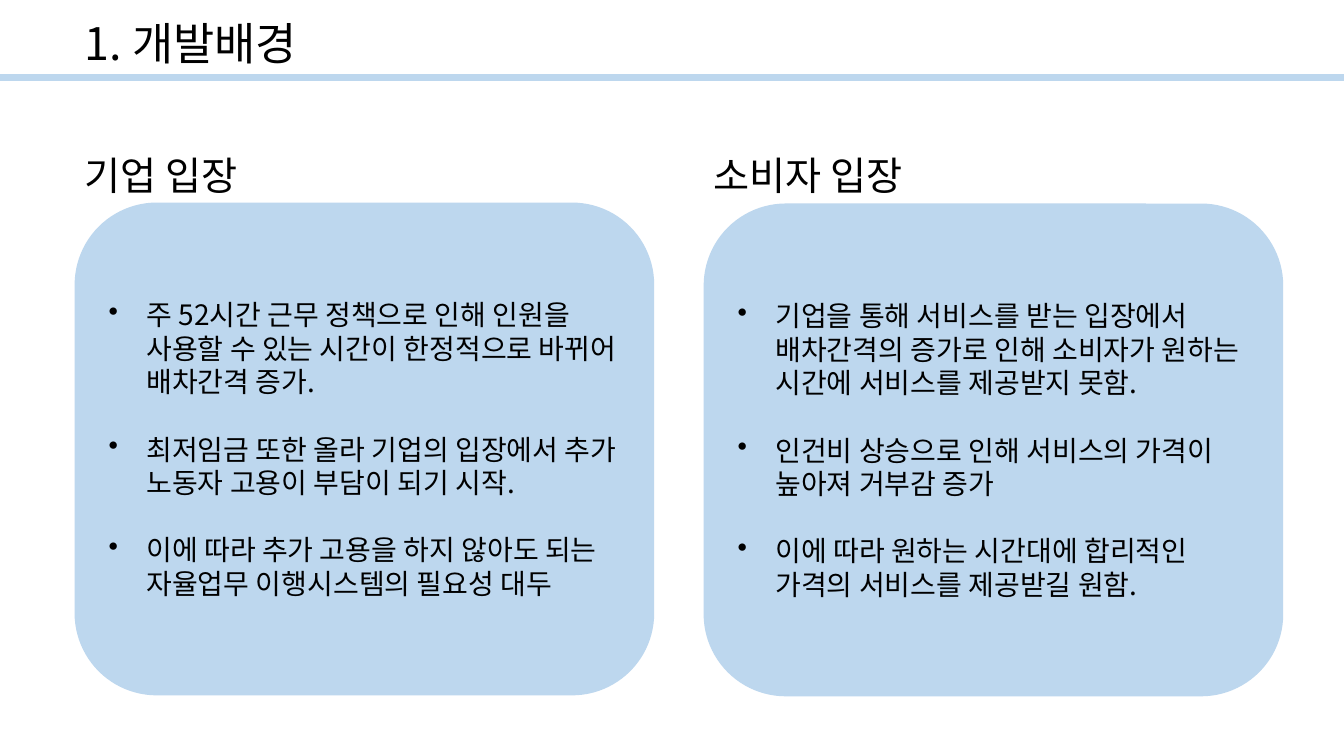
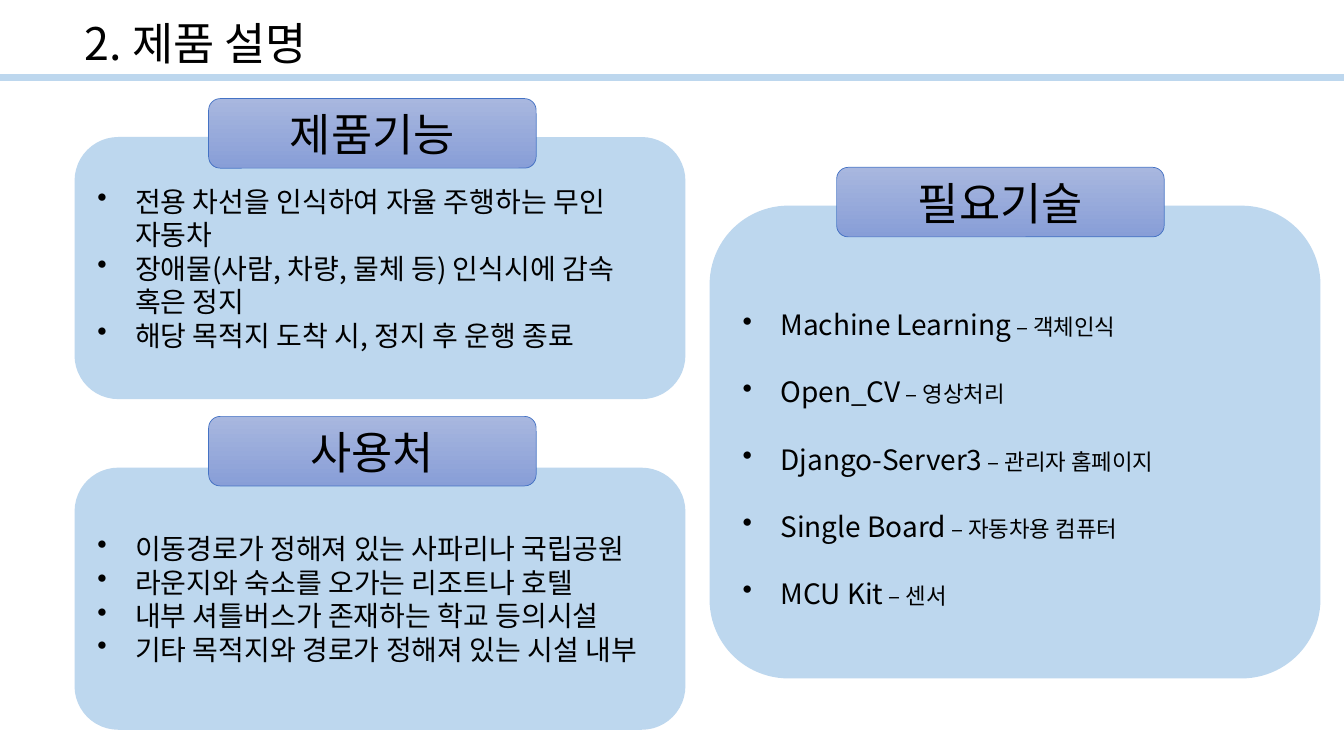
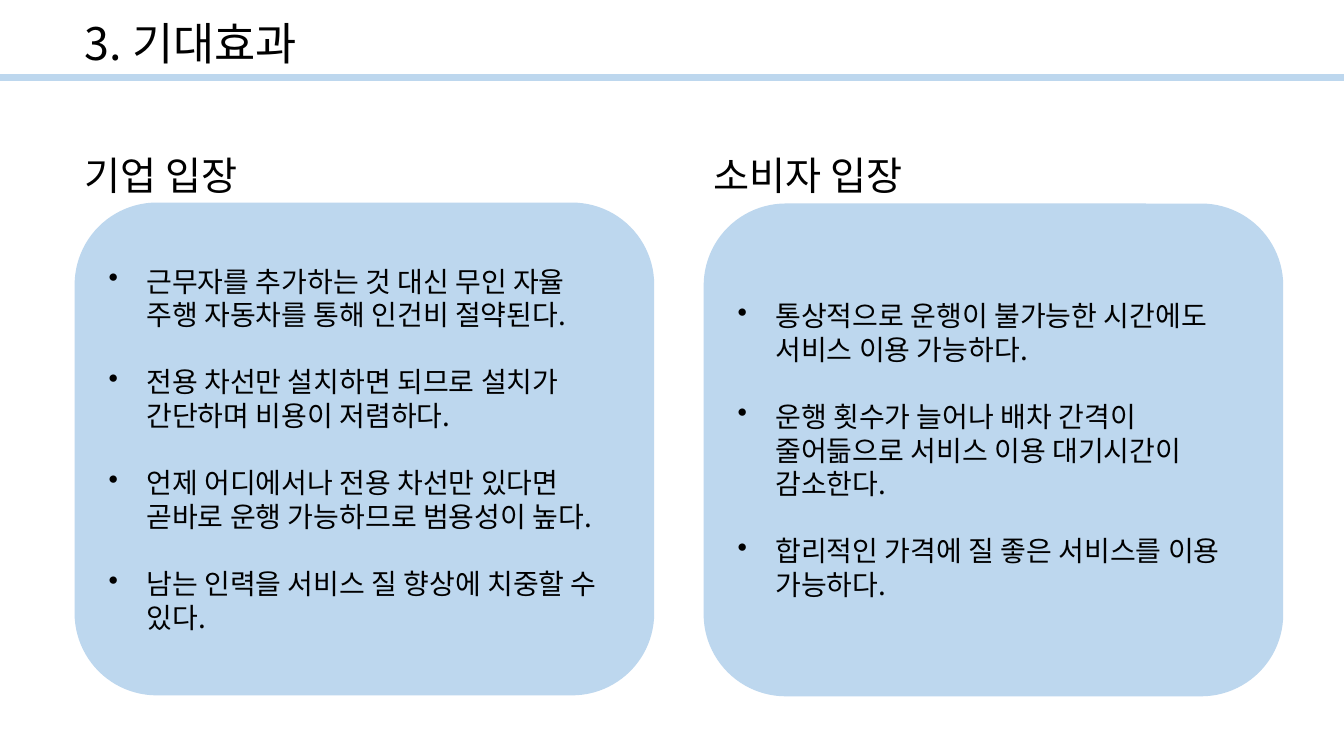
"""Build three slides on the background, features and benefits of a driverless car."""
from dataclasses import dataclass

from lxml.etree import SubElement
from pptx import Presentation
from pptx.dml.color import RGBColor
from pptx.enum.shapes import MSO_CONNECTOR, MSO_SHAPE
from pptx.enum.text import MSO_ANCHOR as Anchor, MSO_AUTO_SIZE as AutoSize, PP_ALIGN as Align
from pptx.oxml.ns import qn
from pptx.util import Pt


@dataclass(frozen=True)
class Theme:
    """Colours, type sizes and shared measures, in points."""
    font: str = "Noto Sans CJK KR"
    ink: RGBColor = RGBColor(0x00, 0x00, 0x00)
    panel: RGBColor = RGBColor(0xBD, 0xD7, 0xEE)
    tab_top: RGBColor = RGBColor(0xA8, 0xB7, 0xDF)
    tab_bottom: RGBColor = RGBColor(0x88, 0x9E, 0xD7)
    tab_edge: RGBColor = RGBColor(0x44, 0x72, 0xC4)
    title: int = 32
    heading: int = 28
    body: int = 20
    detail: int = 16
    leading: float = 1.2
    indent: int = 27
    width: int = 960
    height: int = 540
    left: float = 53.3


THEME = Theme()
COMPANY = "기업 입장"
CONSUMER = "소비자 입장"


def style(paragraph, size, spacing=1, align=Align.LEFT):
    """Set the font, line pitch and alignment of a paragraph."""
    paragraph.alignment = align
    paragraph.line_spacing = Pt(round(size * THEME.leading * spacing, 2))
    paragraph.font.size = Pt(size)
    paragraph.font.name = THEME.font
    paragraph.font.color.rgb = THEME.ink
    properties = paragraph.font._element
    SubElement(properties, qn("a:ea")).set("typeface", THEME.font)


def add_bullet(paragraph):
    """Give a paragraph a hanging round bullet."""
    properties = paragraph._p.get_or_add_pPr()
    properties.set("marL", str(Pt(THEME.indent)))
    properties.set("indent", str(-Pt(THEME.indent)))
    mark = properties.makeelement(qn("a:buChar"), {"char": "•"})
    properties.find(qn("a:defRPr")).addprevious(mark)


def add_title_slide(deck, title):
    """Add a slide with its title and the rule under it."""
    slide = deck.slides.add_slide(deck.slide_layouts[5])
    heading = slide.shapes.title
    heading.left, heading.top = Pt(THEME.left), Pt(3.6)
    heading.width, heading.height = Pt(191.5), Pt(56.9)
    frame = heading.text_frame
    frame.text = title
    frame.auto_size = AutoSize.NONE
    frame.vertical_anchor = Anchor.MIDDLE
    style(frame.paragraphs[0], THEME.title, 0.9)

    rule_y = Pt(55.4)
    rule = slide.shapes.add_connector(
        MSO_CONNECTOR.STRAIGHT, 0, rule_y, Pt(THEME.width), rule_y)
    rule.line.color.rgb = THEME.panel
    rule.line.width = Pt(4.5)
    SubElement(rule._element.spPr, qn("a:effectLst"))
    return slide


def add_rounded(slide, left, top, width, height):
    """Add a rounded rectangle without shadow, with its text centred vertically."""
    box = slide.shapes.add_shape(
        MSO_SHAPE.ROUNDED_RECTANGLE, Pt(left), Pt(top), Pt(width), Pt(height))
    box.shadow.inherit = False
    box.text_frame.word_wrap = True
    box.text_frame.vertical_anchor = Anchor.MIDDLE
    return box


def add_card(slide, bounds, items, gap=0, spacing=1):
    """Add a panel of bullets; an item is a text or a (name, detail) pair."""
    card = add_rounded(slide, *bounds)
    card.fill.solid()
    card.fill.fore_color.rgb = THEME.panel
    card.line.fill.background()
    frame = card.text_frame
    for index, item in enumerate(items):
        paragraph = frame.add_paragraph() if index else frame.paragraphs[0]
        name, detail = (item, None) if isinstance(item, str) else item
        paragraph.add_run().text = name
        if detail:
            note = paragraph.add_run()
            note.text = f" – {detail}"
            note.font.size = Pt(THEME.detail)
        style(paragraph, THEME.body, spacing)
        if index:
            paragraph.space_before = Pt(gap)
        add_bullet(paragraph)


def add_tab(slide, left, top, label):
    """Add a gradient label that overlaps the top of a card."""
    tab = add_rounded(slide, left, top, 234, 49.7)
    tab.fill.gradient()
    tab.fill.gradient_angle = 270
    for stop, colour in zip(tab.fill.gradient_stops, (THEME.tab_top, THEME.tab_bottom)):
        stop.color.rgb = colour
    tab.line.color.rgb = THEME.tab_edge
    tab.line.width = Pt(0.5)
    tab.text_frame.text = label
    style(tab.text_frame.paragraphs[0], THEME.title, align=Align.CENTER)


def add_heading(slide, left, label):
    """Add the heading that stands above a viewpoint card."""
    heading = slide.shapes.add_textbox(Pt(left), Pt(104.4), Pt(169.2), Pt(41))
    frame = heading.text_frame
    frame.word_wrap = True
    frame.text = label
    style(frame.paragraphs[0], THEME.heading)


def add_viewpoints(deck, title, company, consumer):
    """Add a slide that sets the company's view beside the consumer's."""
    slide = add_title_slide(deck, title)
    columns = (
        (THEME.left, 144.7, COMPANY, company),
        (502.6, 145.4, CONSUMER, consumer),
    )
    for left, top, label, points in columns:
        add_card(slide, (left, top, 414, 352), points, gap=THEME.body * THEME.leading)
        add_heading(slide, left, label)


def add_product(deck):
    """Add the slide on functions, places of use and technologies."""
    slide = add_title_slide(deck, "2. 제품 설명")
    card_width, card_height, tab_left = 436.3, 187.2, 149
    add_card(slide, (THEME.left, 97.9, card_width, card_height), [
        "전용 차선을 인식하여 자율 주행하는 무인 자동차",
        "장애물(사람, 차량, 물체 등) 인식시에 감속 혹은 정지",
        "해당 목적지 도착 시, 정지 후 운행 종료",
    ])
    add_tab(slide, tab_left, 70.4, "제품기능")
    add_card(slide, (THEME.left, 334.1, card_width, card_height), [
        "이동경로가 정해져 있는 사파리나 국립공원",
        "라운지와 숙소를 오가는 리조트나 호텔",
        "내부 셔틀버스가 존재하는 학교 등의시설",
        "기타 목적지와 경로가 정해져 있는 시설 내부",
    ])
    add_tab(slide, tab_left, 297.4, "사용처")
    add_card(slide, (506.9, 146.9, card_width, 337.7), [
        ("Machine Learning", "객체인식"),
        ("Open_CV", "영상처리"),
        ("Django-Server3", "관리자 홈페이지"),
        ("Single Board", "자동차용 컴퓨터"),
        ("MCU Kit", "센서"),
    ], spacing=2)
    add_tab(slide, 597.6, 119.5, "필요기술")


def main():
    """Build and save the deck."""
    deck = Presentation()
    deck.slide_width, deck.slide_height = Pt(THEME.width), Pt(THEME.height)
    add_viewpoints(deck, "1. 개발배경", [
        "주 52시간 근무 정책으로 인해 인원을 사용할 수 있는 시간이 한정적으로 바뀌어 배차간격 증가.",
        "최저임금 또한 올라 기업의 입장에서 추가 노동자 고용이 부담이 되기 시작.",
        "이에 따라 추가 고용을 하지 않아도 되는 자율업무 이행시스템의 필요성 대두",
    ], [
        "기업을 통해 서비스를 받는 입장에서 배차간격의 증가로 인해 소비자가 원하는 시간에 서비스를 제공받지 못함.",
        "인건비 상승으로 인해 서비스의 가격이 높아져 거부감 증가",
        "이에 따라 원하는 시간대에 합리적인 가격의 서비스를 제공받길 원함.",
    ])
    add_product(deck)
    add_viewpoints(deck, "3. 기대효과", [
        "근무자를 추가하는 것 대신 무인 자율 주행 자동차를 통해 인건비 절약된다.",
        "전용 차선만 설치하면 되므로 설치가 간단하며 비용이 저렴하다.",
        "언제 어디에서나 전용 차선만 있다면 곧바로 운행 가능하므로 범용성이 높다.",
        "남는 인력을 서비스 질 향상에 치중할 수 있다.",
    ], [
        "통상적으로 운행이 불가능한 시간에도 서비스 이용 가능하다.",
        "운행 횟수가 늘어나 배차 간격이 줄어듦으로 서비스 이용 대기시간이 감소한다.",
        "합리적인 가격에 질 좋은 서비스를 이용 가능하다.",
    ])
    deck.save("out.pptx")


if __name__ == "__main__":
    main()
